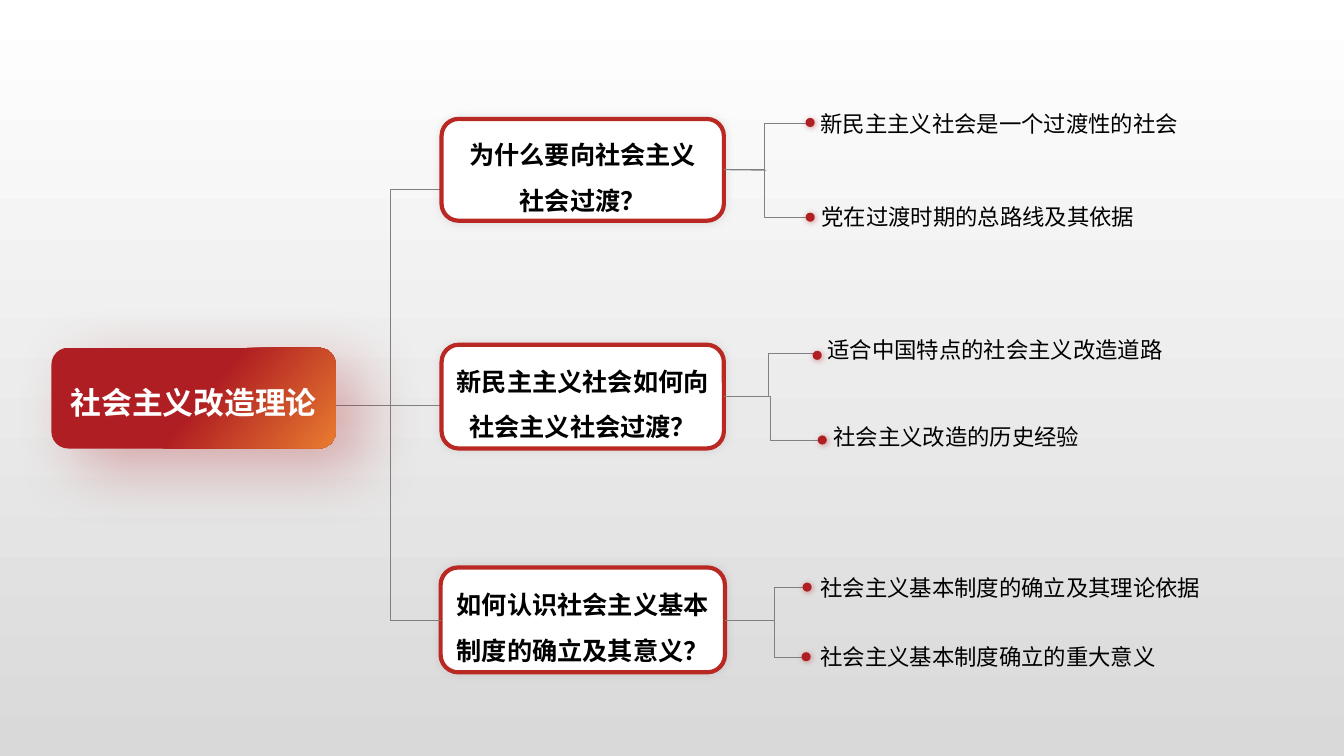
from lxml import etree
from pptx import Presentation
from pptx.dml.color import RGBColor
from pptx.enum.shapes import MSO_CONNECTOR, MSO_SHAPE
from pptx.enum.text import MSO_ANCHOR, MSO_AUTO_SIZE, PP_ALIGN
from pptx.oxml.ns import qn
from pptx.util import Inches, Pt

STRAIGHT, ELBOW = MSO_CONNECTOR.STRAIGHT, MSO_CONNECTOR.ELBOW
ROUND, OVAL = MSO_SHAPE.ROUNDED_RECTANGLE, MSO_SHAPE.OVAL
MIDDLE, CENTER = MSO_ANCHOR.MIDDLE, PP_ALIGN.CENTER
GROW = MSO_AUTO_SIZE.SHAPE_TO_FIT_TEXT
FONT = "Noto Sans CJK SC"
RED, ORANGE, RIM, GRAY = "AF1E22", "E97C30", "BA2823", "808080"
WHITE, BLACK = "FFFFFF", "000000"
LEFT, RIGHT = 1, 3
DOT = 0.09
SPINE, TRUNK, FORK = 3.87, 4.02, 7.68

BOXES = [
    ((4.38, 1.18, 2.8, 1.01), ["为什么要向社会主义", "社会过渡？"]),
    ((4.38, 3.42, 2.8, 1.03), ["新民主主义社会如何向社会主义社会过渡？"]),
    ((4.37, 5.63, 2.82, 1.04), ["如何认识社会主义基本制度的确立及其意义？"]),
]
LEAVES = [
    ((7.99, 1.17), (8.04, 1.04, 3.76), "新民主主义社会是一个过渡性的社会"),
    ((7.99, 2.11), (8.05, 1.97, 3.31), "党在过渡时期的总路线及其依据"),
    ((8.06, 3.48), (8.11, 3.29, 3.53), "适合中国特点的社会主义改造道路"),
    ((8.11, 4.32), (8.17, 4.15, 2.67), "社会主义改造的历史经验"),
    ((7.96, 5.78), (8.04, 5.65, 3.98), "社会主义基本制度的确立及其理论依据"),
    ((7.95, 6.47), (8.04, 6.33, 3.57), "社会主义基本制度确立的重大意义"),
]
ELBOWS = [(0, 7.99, 1.22), (0, 7.99, 2.16), (1, 8.06, 3.51), (1, 8.11, 4.37)]


def color(code):
    """Turn a hex string into a colour."""
    return RGBColor.from_string(code)


def blend(fill, stops, angle):
    """Give a fill a two-stop gradient, with a clockwise angle."""
    fill.gradient()
    fill.gradient_angle = 360 - angle
    for stop, (place, code) in zip(fill.gradient_stops, stops):
        stop.position = place
        stop.color.rgb = color(code)


def shade(shape, code, alpha, blur, dist, angle):
    """Give a shape an outer shadow."""
    shape.shadow.inherit = False
    effects = shape._element.spPr.find(qn("a:effectLst"))
    outer = etree.SubElement(
        effects, qn("a:outerShdw"), blurRad=str(Pt(blur)), dist=str(Pt(dist)),
        dir=str(angle * 60000), algn="ctr", rotWithShape="0")
    tint = etree.SubElement(outer, qn("a:srgbClr"), val=code)
    etree.SubElement(tint, qn("a:alpha"), val=str(alpha * 1000))


def write(para, text, size, code, bold=False):
    """Add one run to a paragraph."""
    run = para.add_run()
    run.text = text
    font = run.font
    font.size, font.bold, font.name = Pt(size), bold, FONT
    font.color.rgb = color(code)
    etree.SubElement(run._r.get_or_add_rPr(), qn("a:ea"), typeface=FONT)


def line(slide, start, end, kind=STRAIGHT):
    """Draw a thin gray connector between two points."""
    link = slide.shapes.add_connector(kind, *map(Inches, start + end))
    link.line.color.rgb = color(GRAY)
    link.line.width = Pt(0.5)
    etree.SubElement(link._element.spPr, qn("a:effectLst"))
    return link


def card(slide, place, texts, size, code, space):
    """Draw a rounded box with centred bold text."""
    shape = slide.shapes.add_shape(ROUND, *map(Inches, place))
    frame = shape.text_frame
    frame.word_wrap = True
    frame.vertical_anchor = MIDDLE
    frame.margin_left = frame.margin_right = Inches(0.05)
    for index, text in enumerate(texts):
        para = frame.add_paragraph() if index else frame.paragraphs[0]
        para.alignment, para.line_spacing = CENTER, space
        write(para, text, size, code, True)
    return shape


def topic(slide):
    """Draw the root topic."""
    shape = card(slide, (0.51, 3.45, 2.82, 1), ["社会主义改造理论"], 22, WHITE, 1.2)
    blend(shape.fill, [(0.52, RED), (1, ORANGE)], 40)
    shape.line.fill.background()
    shade(shape, RED, 33, 46, 23, 35)


def branch(slide, place, texts):
    """Draw a white question box with a red rim."""
    shape = card(slide, place, texts, 18, BLACK, 1.5)
    shape.fill.solid()
    shape.fill.fore_color.rgb = color(WHITE)
    shape.line.color.rgb = color(RIM)
    shape.line.width = Pt(3)
    shade(shape, GRAY, 20, 6, 0, 315)
    return shape


def leaf(slide, spot, place, text):
    """Draw a red dot and its label."""
    dot = slide.shapes.add_shape(OVAL, *map(Inches, spot + (DOT, DOT)))
    dot.fill.solid()
    dot.fill.fore_color.rgb = color(RED)
    dot.line.fill.background()
    shade(dot, RED, 40, 4, 1, 45)
    frame = slide.shapes.add_textbox(*map(Inches, place + (0.37,))).text_frame
    frame.word_wrap = False
    frame.auto_size = GROW
    write(frame.paragraphs[0], text, 16, BLACK)


def main():
    """Build the slide and save it."""
    deck = Presentation()
    deck.slide_width, deck.slide_height = Inches(13.33), Inches(7.5)
    slide = deck.slides.add_slide(deck.slide_layouts[6])
    blend(slide.background.fill, [(0, WHITE), (1, "D9D9D9")], 90)

    line(slide, (3.1, TRUNK), (SPINE, TRUNK))
    topic(slide)
    line(slide, (SPINE, 6.15), (SPINE, 1.88))
    for level in (1.88, TRUNK):
        line(slide, (SPINE, level), (4.48, level))
    boxes = [branch(slide, *box) for box in BOXES]
    line(slide, (SPINE, 6.15), (4.37, 6.15)).end_connect(boxes[2], LEFT)

    for index, x, y in ELBOWS:
        line(slide, (7.18, y), (x, y), ELBOW).begin_connect(boxes[index], RIGHT)
    line(slide, (7.18, 1.69), (7.6, 1.69)).begin_connect(boxes[0], RIGHT)
    line(slide, (7.19, 6.15), (FORK, 6.15)).begin_connect(boxes[2], RIGHT)
    line(slide, (FORK, 6.52), (FORK, 5.83))
    for level in (5.83, 6.52):
        line(slide, (FORK, level), (8.02, level))
    for item in LEAVES:
        leaf(slide, *item)
    deck.save("out.pptx")


if __name__ == "__main__":
    main()
